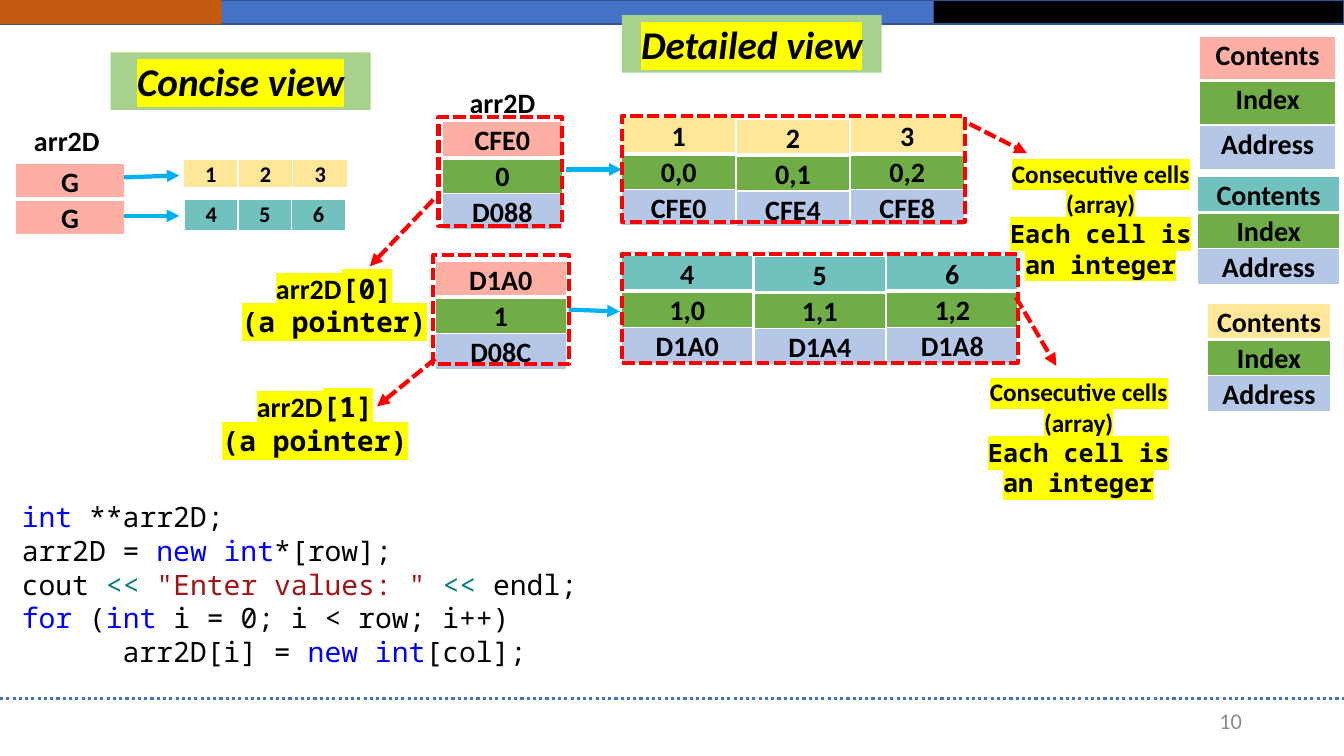
from pptx import Presentation
from pptx.dml.color import RGBColor
from pptx.enum.dml import MSO_LINE
from pptx.enum.shapes import MSO_CONNECTOR, MSO_SHAPE
from pptx.enum.text import MSO_ANCHOR, PP_ALIGN
from pptx.oxml.ns import qn
from pptx.util import Cm, Pt
from lxml.etree import SubElement, Element


class Theme:
    sans, mono = "Calibri", "Noto Sans Mono"
    black, white, yellow, gray = "000000", "FFFFFF", "FFFF00", "8C8C8C"
    blue, edge, orange, title = "4472C4", "325491", "C55A11", "A9D18E"
    pointer, first, second = "FCAFA2", "FFE699", "71C1BF"
    index, address = "70AD47", "B4C7E7"
    arrow, marker = "00B0F0", "FF0000"
    keyword, operator, string = "0000FF", "008080", "A31515"
    heading, body, note, small = 28, 20, 18, 16


# Content; all lengths in centimetres
BARS = [(0, 23.52, Theme.blue, Theme.edge), (23.52, 10.35, Theme.black, Theme.edge),
        (0, 5.59, Theme.orange, None)]
TITLES = [("Concise view", 2.79, 1.32), ("Detailed view", 15.67, 0.38)]
ARRAY_NAMES = [(-0.41, 2.57), (10.57, 1.6)]

# Concise tables: left, top, column width, row height, size, fill, rows
CONCISE = [
    (0.38, 4.11, 2.77, 0.61, Theme.body, Theme.pointer, [["G"], ["G"]]),
    (4.62, 4.01, 1.38, 0.76, Theme.small, Theme.first, [["1", "2", "3"]]),
    (4.65, 5.03, 1.35, 0.81, Theme.small, Theme.second, [["4", "5", "6"]]),
]
# Memory cells: left, top, width, row height, contents fill, (contents, index, address)
LEGEND = ("Contents", "Index", "Address")
MEMORY = [
    (11.15, 3.07, 3.02, 0.61, Theme.pointer, ("CFE0", "0", "D088")),
    (10.97, 6.58, 3.3, 0.61, Theme.pointer, ("D1A0", "1", "D08C")),
    (30.23, 0.91, 3.43, 1.12, Theme.pointer, LEGEND),
    (30.18, 4.45, 3.58, 0.61, Theme.second, LEGEND),
    (30.43, 7.65, 3.1, 0.61, Theme.first, LEGEND),
]
# Integer arrays: left, top, cell width, pitch, contents fill, cells
ARRAYS = [
    (15.67, 2.97, 2.87, 2.88, Theme.first,
     [("1", "0,0", "CFE0"), ("2", "0,1", "CFE4"), ("3", "0,2", "CFE8")]),
    (15.67, 6.43, 3.3, 3.34, Theme.second,
     [("4", "1,0", "D1A0"), ("5", "1,1", "D1A4"), ("6", "1,2", "D1A8")]),
]
MIDDLE_DROP = 0.03

POINTER_ARROWS = [(3.12, 4.47, 4.52, 4.42), (3.12, 5.44, 4.52, 5.44),
                  (14.27, 4.27, 15.67, 4.27), (14.33, 7.8, 15.62, 7.85)]
NOTE_ARROWS = [(10.92, 5.03, 9.32, 6.71), (10.97, 9.04, 9.5, 10.24),
               (24.43, 3.12, 25.88, 3.86), (25.6, 7.49, 26.62, 9.22)]
FRAMES = [(11.05, 2.95, 3.12, 2.74), (10.92, 6.43, 3.43, 2.74),
          (15.67, 2.92, 8.66, 2.67), (15.67, 6.4, 9.98, 2.74)]
POINTER_NOTES = [("[0]", 5.79, 6.71), ("[1]", 5.31, 9.7)]
CELL_NOTES = [(25.02, 3.86, 5.44), (24.43, 9.37, 5.51)]

MONO = {"font": Theme.mono}
KEYWORD, OPERATOR, STRING = ({"color": color} for color in
                             (Theme.keyword, Theme.operator, Theme.string))
CODE = [
    [("int", KEYWORD), (" **arr2D;", {})],
    [("arr2D = ", {}), ("new int", KEYWORD), ("*[row];", {})],
    [("cout ", {}), ("<< ", OPERATOR), ('"Enter values: " ', STRING),
     ("<< ", OPERATOR), ("endl;", {})],
    [("for", KEYWORD), (" (", {}), ("int", KEYWORD), (" i = 0; i < row; i++)", {})],
    [("arr2D[i] = ", {}), ("new int", KEYWORD), ("[col];", {})],
]

presentation = Presentation()
presentation.slide_width, presentation.slide_height = Cm(33.87), Cm(19.05)
slide = presentation.slides.add_slide(presentation.slide_layouts[6])
shapes = slide.shapes


def rgb(color):
    return RGBColor.from_string(color)


def format_run(run, size=Theme.body, color=Theme.black, font=Theme.sans,
               bold=False, italic=False, highlight=None):
    run.font.size, run.font.name = Pt(size), font
    run.font.bold, run.font.italic = bold, italic
    run.font.color.rgb = rgb(color)
    if highlight:
        mark = Element(qn("a:highlight"))
        SubElement(mark, qn("a:srgbClr"), val=highlight)
        run.font._element.find(qn("a:solidFill")).addnext(mark)


def write(frame, text, align=PP_ALIGN.CENTER, spacing=None, **style):
    """Text is a string, or a list of lines made of (words, style changes)."""
    lines = [[(text, {})]] if isinstance(text, str) else text
    for number, line in enumerate(lines):
        paragraph = frame.add_paragraph() if number else frame.paragraphs[0]
        paragraph.alignment = align
        if spacing:
            paragraph.line_spacing = spacing
        for words, changes in line:
            run = paragraph.add_run()
            run.text = words
            format_run(run, **{**style, **changes})


def add_text(text, left, top, width, height, anchor=MSO_ANCHOR.TOP, **style):
    frame = shapes.add_textbox(Cm(left), Cm(top), Cm(width), Cm(height)).text_frame
    frame.word_wrap = True
    frame.vertical_anchor = anchor
    write(frame, text, **style)
    return frame


def add_rectangle(left, top, width, height, fill=None, line=None, weight=1, dash=None):
    shape = shapes.add_shape(MSO_SHAPE.RECTANGLE, Cm(left), Cm(top), Cm(width), Cm(height))
    shape.shadow.inherit = False
    if fill:
        shape.fill.solid()
        shape.fill.fore_color.rgb = rgb(fill)
    else:
        shape.fill.background()
    if line:
        shape.line.color.rgb, shape.line.width = rgb(line), Pt(weight)
        shape.line.dash_style = dash
    else:
        shape.line.fill.background()
    return shape


def add_line(ends, color, weight, dash=None, arrow=True):
    connector = shapes.add_connector(MSO_CONNECTOR.STRAIGHT, *(Cm(end) for end in ends))
    connector.line.color.rgb, connector.line.width = rgb(color), Pt(weight)
    connector.line.dash_style = dash
    if arrow:
        SubElement(connector.line._get_or_add_ln(), qn("a:tailEnd"), type="triangle")
    SubElement(connector._element.spPr, qn("a:effectLst"))


def add_borders(cell, bottom):
    properties = cell._tc.get_or_add_tcPr()
    for side, weight in (("L", 1), ("R", 1), ("T", 1), ("B", bottom)):
        border = SubElement(properties, qn(f"a:ln{side}"), w=str(Pt(weight)))
        SubElement(SubElement(border, qn("a:solidFill")), qn("a:srgbClr"), val=Theme.white)


def add_grid(left, top, column_width, row_height, size, fills, rows):
    count, columns = len(rows), len(rows[0])
    shape = shapes.add_table(count, columns, Cm(left), Cm(top),
                             Cm(column_width * columns), Cm(row_height * count))
    table = shape.table
    table.first_row = table.horz_banding = False
    for row, (texts, fill) in enumerate(zip(rows, fills)):
        for column, text in enumerate(texts):
            cell = table.cell(row, column)
            cell.margin_left = cell.margin_right = Cm(0.18)
            cell.margin_top = cell.margin_bottom = 0
            add_borders(cell, bottom=1 if row else 3)
            cell.fill.solid()
            cell.fill.fore_color.rgb = rgb(fill)
            write(cell.text_frame, text, spacing=1.07, size=size, bold=True)
    shape.height = Cm(count * max(row_height, size * 0.043))


def add_memory(left, top, width, row_height, fill, texts):
    add_grid(left, top, width, row_height, Theme.body,
             (fill, Theme.index, Theme.address), [[text] for text in texts])


# Top bars, footer rule and page number
for left, width, fill, line in BARS:
    add_rectangle(left, 0, width, 0.61, fill, line)
add_line((0, 17.6, 33.87, 17.6), Theme.blue, 2.25, MSO_LINE.ROUND_DOT, arrow=False)
add_text("10", 23.93, 17.65, 7.62, 1.02, anchor=MSO_ANCHOR.MIDDLE,
         align=PP_ALIGN.RIGHT, size=Theme.small, color=Theme.gray)

# Tables
for left, top, width, height, size, fill, rows in CONCISE:
    add_grid(left, top, width, height, size, [fill] * len(rows), rows)
for memory in MEMORY:
    add_memory(*memory)
for left, top, width, pitch, fill, cells in ARRAYS:
    for number, texts in enumerate(cells):
        add_memory(left + number * pitch, top + MIDDLE_DROP * (number == 1),
                   width, 0.61, fill, texts)

# Arrows and dashed frames
for ends in POINTER_ARROWS:
    add_line(ends, Theme.arrow, 3)
for ends in NOTE_ARROWS:
    add_line(ends, Theme.marker, 3, MSO_LINE.SQUARE_DOT)
for place in FRAMES:
    add_rectangle(*place, line=Theme.marker, weight=3, dash=MSO_LINE.SQUARE_DOT)

# Names and highlighted notes
for left, top in ARRAY_NAMES:
    add_text("arr2D", left, top, 4.19, 1.4, spacing=1.5, bold=True)
for index, left, top in POINTER_NOTES:
    add_text([[("arr2D", {}), (index, MONO)], [("(a pointer)", MONO)]], left, top, 5.26, 1.96,
             spacing=Pt(24), bold=True, highlight=Theme.yellow)
for left, top, width in CELL_NOTES:
    add_text([[("Consecutive cells (array)", {})], [("Each cell is an integer", MONO)]],
             left, top, width, 3.33, spacing=Pt(21.6), size=Theme.note, bold=True,
             highlight=Theme.yellow)

# View titles
for text, left, top in TITLES:
    title = add_rectangle(left, top, 6.55, 1.45, Theme.title)
    title.text_frame.vertical_anchor = MSO_ANCHOR.TOP
    write(title.text_frame, text, size=Theme.heading, bold=True, italic=True,
          highlight=Theme.yellow)

# Code, with the loop body indented
code = add_text(CODE, 0.3, 12.47, 23.5, 4.52, align=PP_ALIGN.LEFT, spacing=Pt(24),
                font=Theme.mono)
code.paragraphs[-1]._p.get_or_add_pPr().set("marL", str(Cm(2.54)))

presentation.save("out.pptx")
